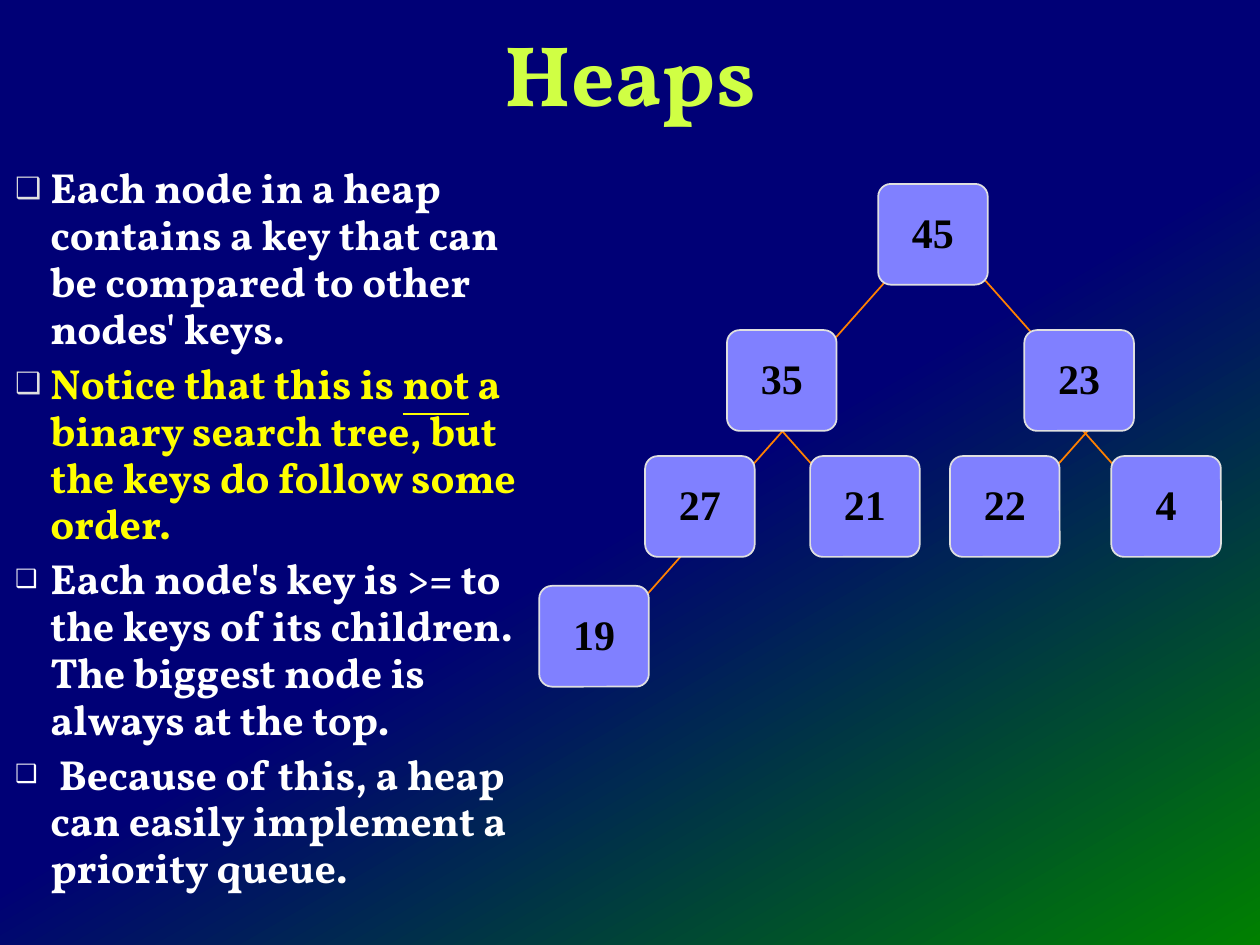
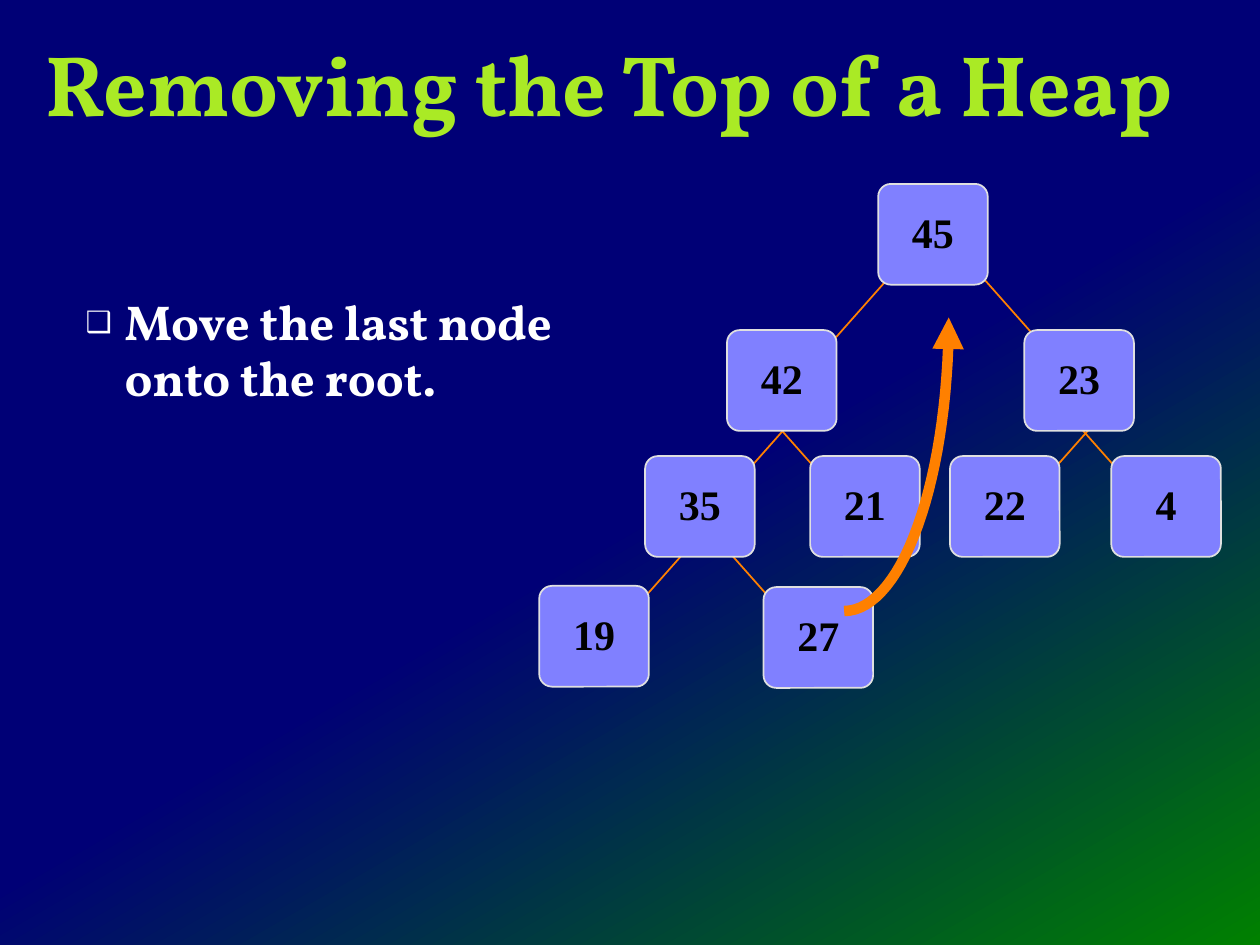
from math import cos, pi, sin

from copy import deepcopy
from lxml import etree
from pptx import Presentation
from pptx.dml.color import RGBColor
from pptx.enum.shapes import MSO_CONNECTOR, MSO_SHAPE
from pptx.enum.text import MSO_ANCHOR, MSO_AUTO_SIZE, PP_ALIGN
from pptx.oxml.ns import qn
from pptx.util import Inches, Pt

LEFT, CENTER = PP_ALIGN.LEFT, PP_ALIGN.CENTER
MIDDLE, BOTTOM = MSO_ANCHOR.MIDDLE, MSO_ANCHOR.BOTTOM
NO_AUTOFIT = MSO_AUTO_SIZE.NONE
STRAIGHT = MSO_CONNECTOR.STRAIGHT
ROUNDED = MSO_SHAPE.ROUNDED_RECTANGLE

# Shared style
NAVY, GREEN, ORANGE = "000076", "008000", "FF8000"
NODE_FILL, PALE, WHITE, YELLOW, BLACK = "8080FF", "E0E0E0", "FFFFFF", "FFFF00", "000000"
TITLE_FONT = {"name": "Vollkorn", "size": Pt(49), "bold": True}
NODE_FONT = {"name": "Times New Roman", "size": Pt(24), "bold": True}

# Heap geometry, in level order: node corners, and where each edge leaves the parent
NODE_WIDTH, NODE_HEIGHT = 0.87, 0.8
SLOTS = [(6.97, 1.46), (5.77, 2.62), (8.13, 2.62), (5.12, 3.62), (6.43, 3.62),
         (7.54, 3.62), (8.82, 3.62), (4.28, 4.65), (6.06, 4.66)]
EDGE_STARTS = [(7.04, 2.22), (7.77, 2.17), (6.39, 3.22), (6.03, 3.22),
               (8.81, 3.22), (8.42, 3.22), (5.55, 4.25), (5.67, 4.25)]
EDGE_WIDTH, EDGE_HEIGHT = 0.62, 0.7


def rgb(value):
    return RGBColor.from_string(value)


def set_font(font, style, color):
    for name, value in style.items():
        setattr(font, name, value)
    font.color.rgb = rgb(color)


def place(shape, left, top, width, height):
    box = {"left": left, "top": top, "width": width, "height": height}
    for name, value in box.items():
        setattr(shape, name, Inches(value))


class HeapDeck:
    def __init__(self):
        self.deck = Presentation()
        self.deck.slide_width, self.deck.slide_height = Inches(10), Inches(7.5)
        self.page = None
        self.paint_background()

    def paint_background(self):
        master = self.deck.slide_master
        fill = master.background.fill
        fill.gradient()
        fill.gradient_angle = 300
        stop_list = next(master.element.iter(qn("a:gsLst")))
        stop_list.insert(1, deepcopy(stop_list[0]))
        stops = [(0, NAVY), (0.53, NAVY), (1, GREEN)]
        for stop, (position, color) in zip(fill.gradient_stops, stops):
            stop.position = position
            stop.color.rgb = rgb(color)

    def new_page(self):
        self.page = self.deck.slides.add_slide(self.deck.slide_layouts[1])

    def title(self, text, box, color, align):
        title = self.page.shapes.title
        place(title, *box)
        frame = title.text_frame
        frame.auto_size, frame.vertical_anchor = NO_AUTOFIT, BOTTOM
        para = frame.paragraphs[0]
        para.text = text
        para.alignment, para.line_spacing = align, 0.95
        set_font(para.font, TITLE_FONT, color)

    def bullets(self, items, box, size, spacing, margin, indent):
        """Each item is (spans, text colour, bullet percent, bullet colour)."""
        body = self.page.placeholders[1]
        place(body, *box)
        frame = body.text_frame
        frame.auto_size, frame.vertical_anchor = NO_AUTOFIT, MIDDLE
        style = {"name": "Vollkorn", "size": Pt(size), "bold": True}
        for index, (spans, color, percent, bullet_color) in enumerate(items):
            para = frame.add_paragraph() if index else frame.paragraphs[0]
            self.bullet_mark(para, percent, bullet_color, margin, indent)
            para.line_spacing = spacing
            para.space_before = Pt(4.5 if index else 0)
            for text, underlined in spans:
                span = para.add_run()
                span.text = text
                set_font(span.font, {**style, "underline": underlined}, color)

    def bullet_mark(self, para, percent, color, margin, indent):
        properties = para._p.get_or_add_pPr()
        properties.set("marL", str(Inches(margin)))
        properties.set("indent", str(Inches(indent)))
        holder = etree.SubElement(properties, qn("a:buClr"))
        etree.SubElement(holder, qn("a:srgbClr"), val=color)
        etree.SubElement(properties, qn("a:buSzPct"), val=str(percent * 1000))
        etree.SubElement(properties, qn("a:buChar"), char="❑")

    def edge(self, start, direction):
        x, y = start
        ends = (x, y, x + direction * EDGE_WIDTH, y + EDGE_HEIGHT)
        line = self.page.shapes.add_connector(STRAIGHT, *map(Inches, ends))
        line.line.color.rgb, line.line.width = rgb(ORANGE), Pt(1)
        etree.SubElement(line._element.spPr, qn("a:effectLst"))

    def node(self, key, corner):
        box = (*corner, NODE_WIDTH, NODE_HEIGHT)
        node = self.page.shapes.add_shape(ROUNDED, *map(Inches, box))
        node.adjustments[0] = 0.126
        node.shadow.inherit = False
        node.fill.solid()
        node.fill.fore_color.rgb = rgb(NODE_FILL)
        node.line.color.rgb, node.line.width = rgb(PALE), Pt(1)
        node.text_frame.vertical_anchor = MIDDLE
        para = node.text_frame.paragraphs[0]
        para.text = str(key)
        para.alignment, para.line_spacing = CENTER, 0.95
        set_font(para.font, NODE_FONT, BLACK)

    def heap(self, keys):
        # Edges lie under the nodes; left and right children alternate
        for index, start in enumerate(EDGE_STARTS[:len(keys) - 1]):
            self.edge(start, 1 if index % 2 else -1)
        for key, corner in zip(keys, SLOTS):
            self.node(key, corner)

    def curved_arrow(self, left, top, width, height, steps=30):
        """A quarter ellipse from bottom left to an arrowhead at top right."""
        angles = [pi / 2 * step / steps for step in range(steps + 1)]
        points = [(Inches(left + width * sin(angle)), Inches(top + height * cos(angle)))
                  for angle in angles]
        builder = self.page.shapes.build_freeform(*points[0])
        builder.add_line_segments(points[1:], close=False)
        arrow = builder.convert_to_shape()
        arrow.shadow.inherit = False
        arrow.fill.background()
        arrow.line.color.rgb, arrow.line.width = rgb(ORANGE), Pt(6)
        etree.SubElement(arrow.line._get_or_add_ln(), qn("a:tailEnd"), type="triangle")


def main():
    heaps = HeapDeck()

    # Slide 1: what a heap is
    heaps.new_page()
    heaps.title("Heaps", (0.75, 0.17, 8.5, 0.88), "D0FF44", CENTER)
    heaps.bullets([
        ([("Each node in a heap contains a key that can be compared to other nodes' keys.",
           False)], WHITE, 70, PALE),
        ([("Notice that this is ", False), ("not", True),
          (" a binary search tree, but the keys do follow some order.", False)],
         YELLOW, 70, PALE),
        ([("Each node's key is >= to the keys of its children. "
           "The biggest node is always at the top.", False)], WHITE, 60, WHITE),
        ([(" Because of this, a heap can easily implement a priority queue.", False)],
         WHITE, 60, WHITE),
    ], (0, 1.08, 4.42, 6.25), size=24, spacing=0.93, margin=0.3, indent=-0.28)
    heaps.heap([45, 35, 23, 27, 21, 22, 4, 19])

    # Slide 2: removing the top
    heaps.new_page()
    heaps.title("Removing the Top of a Heap", (0.26, 0.17, 9.5, 0.96), "AAEA25", LEFT)
    heaps.bullets([([("Move the last node onto the root.", False)], WHITE, 60, WHITE)],
                  (0.58, 1.46, 4.14, 2.67), size=28, spacing=0.95, margin=0.31, indent=-0.31)
    heaps.heap([45, 42, 23, 35, 21, 22, 4, 19, 27])
    heaps.curved_arrow(6.7, 2.52, 0.83, 2.33)

    heaps.deck.save("out.pptx")


if __name__ == "__main__":
    main()
